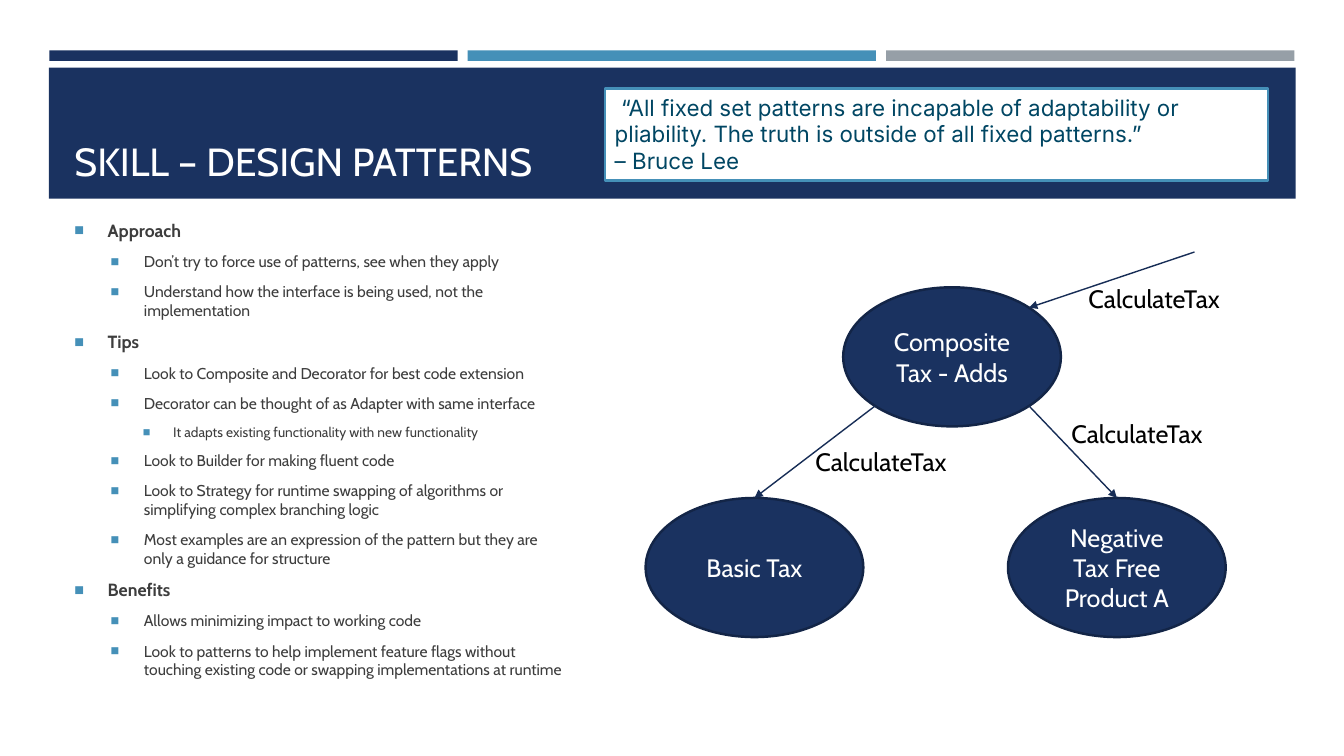
import math
from dataclasses import dataclass

import pptx
import pptx.dml.color
import pptx.enum.shapes
import pptx.enum.text
import pptx.oxml
import pptx.oxml.ns
import pptx.util

SHAPES = pptx.enum.shapes.MSO_SHAPE
ALIGN = pptx.enum.text.PP_ALIGN
ANCHOR = pptx.enum.text.MSO_ANCHOR


@dataclass(frozen=True)
class Theme:
    navy: str = "1A3260"
    navy_outline: str = "132547"
    navy_arrow: str = "172D56"
    blue: str = "4590B8"
    gray: str = "969FA7"
    white: str = "FFFFFF"
    black: str = "000000"
    body: str = "3D3D3D"
    quote: str = "004663"
    font: str = "Cabin"
    quote_font: str = "Inter"
    title_size: float = 28
    diagram_size: float = 18
    quote_size: float = 16
    bullet_sizes: tuple = (12.6, 11.2, 9.8)
    outline_width: float = 1.75
    arrow_width: float = 1


# Grid of tenth-of-an-inch cells
COLUMNS, ROWS = 133.33, 75
CELL = pptx.util.Inches(0.1)


def cells(*lengths):
    return [round(length * CELL) for length in lengths]


def color(value):
    return pptx.dml.color.RGBColor.from_string(value)


def add_text(paragraph, text, font=Theme.font, size=Theme.diagram_size,
             fill=Theme.black, bold=False, align=ALIGN.LEFT):
    paragraph.alignment = align
    run = paragraph.add_run()
    run.text = text
    run.font.name, run.font.size, run.font.bold = font, pptx.util.Pt(size), bold
    run.font.color.rgb = color(fill)


def append_xml(parent, tag, **attributes):
    element = pptx.oxml.parse_xml(f"<a:{tag} {pptx.oxml.ns.nsdecls('a')}/>")
    for name, value in attributes.items():
        element.set(name, str(value))
    parent.append(element)
    return element


class SlideBuilder:
    # Indent of the text and hanging indent of the bullet, per level
    indents = ((3.3, 3.3), (6.9, 3.3), (9.8, 3))

    def __init__(self, slide, theme):
        self.slide, self.theme = slide, theme

    def fill_frame(self, frame, lines, anchor, wrap=True, **text_format):
        frame.word_wrap, frame.vertical_anchor = wrap, anchor
        for index, line in enumerate(lines):
            paragraph = frame.add_paragraph() if index else frame.paragraphs[0]
            add_text(paragraph, line, **text_format)

    def shape(self, kind, left, top, width, height, fill, outline=None):
        shape = self.slide.shapes.add_shape(kind, *cells(left, top, width, height))
        shape.shadow.inherit = False
        shape.fill.solid()
        shape.fill.fore_color.rgb = color(fill)
        if outline:
            shape.line.color.rgb = color(outline)
            shape.line.width = pptx.util.Pt(self.theme.outline_width)
        else:
            shape.line.fill.background()
        return shape

    def text_box(self, left, top, width, height, lines=(), anchor=ANCHOR.TOP,
                 wrap=True, **text_format):
        box = self.slide.shapes.add_textbox(*cells(left, top, width, height))
        self.fill_frame(box.text_frame, lines, anchor, wrap, **text_format)
        return box.text_frame

    def bullets(self, left, top, width, height, items):
        frame = self.text_box(left, top, width, height)
        for index, (level, text) in enumerate(items):
            paragraph = frame.add_paragraph() if index else frame.paragraphs[0]
            add_text(paragraph, text, size=self.theme.bullet_sizes[level],
                     fill=self.theme.body, bold=level == 0)
            paragraph.level = level
            paragraph.space_before = pptx.util.Pt(2)
            paragraph.space_after = pptx.util.Pt(6)
            indent, hanging = cells(*self.indents[level])
            properties = paragraph._p.get_or_add_pPr()
            properties.set("marL", str(indent))
            properties.set("indent", str(-hanging))
            append_xml(append_xml(properties, "buClr"), "srgbClr", val=self.theme.blue)
            append_xml(properties, "buSzPct", val=92000)
            append_xml(properties, "buFont", typeface="Arial")
            append_xml(properties, "buChar", char="■")

    def node(self, center, text):
        column, row = center
        width, height = NODE_SIZE
        shape = self.shape(SHAPES.OVAL, column - width / 2, row - height / 2, width,
                           height, self.theme.navy, self.theme.navy_outline)
        self.fill_frame(shape.text_frame, [text], ANCHOR.MIDDLE,
                        fill=self.theme.white, align=ALIGN.CENTER)

    def arrow(self, start, end):
        connector = self.slide.shapes.add_connector(
            pptx.enum.shapes.MSO_CONNECTOR.STRAIGHT, *cells(*start, *end))
        connector.line.color.rgb = color(self.theme.navy_arrow)
        connector.line.width = pptx.util.Pt(self.theme.arrow_width)
        append_xml(connector.line._get_or_add_ln(), "tailEnd", type="triangle")
        append_xml(connector._element.spPr, "effectLst")


NODE_SIZE = (21.6, 13.8)
COMPOSITE, BASIC, NEGATIVE = (94.45, 35.4), (74.85, 56.3), (110.8, 56.3)
OUTLINE_ITEMS = [
    (0, "Approach"),
    (1, "Don’t try to force use of patterns, see when they apply"),
    (1, "Understand how the interface is being used, not the implementation"),
    (0, "Tips"),
    (1, "Look to Composite and Decorator for best code extension"),
    (1, "Decorator can be thought of as Adapter with same interface"),
    (2, "It adapts existing functionality with new functionality"),
    (1, "Look to Builder for making fluent code"),
    (1, "Look to Strategy for runtime swapping of algorithms or simplifying "
        "complex branching logic"),
    (1, "Most examples are an expression of the pattern but they are only a "
        "guidance for structure"),
    (0, "Benefits"),
    (1, "Allows minimizing impact to working code"),
    (1, "Look to patterns to help implement feature flags without touching "
        "existing code or swapping implementations at runtime"),
]


def node_point(center, degrees):
    """Point on a node's edge, measured clockwise from its right side."""
    angle = math.radians(degrees)
    return (center[0] + NODE_SIZE[0] / 2 * math.cos(angle),
            center[1] + NODE_SIZE[1] / 2 * math.sin(angle))


def main():
    presentation = pptx.Presentation()
    presentation.slide_width, presentation.slide_height = cells(COLUMNS, ROWS)
    theme = Theme()
    slide = presentation.slides.add_slide(presentation.slide_layouts[6])
    builder = SlideBuilder(slide, theme)

    # Header stripes and title band
    for index, fill in enumerate((theme.navy, theme.blue, theme.gray)):
        builder.shape(SHAPES.RECTANGLE, 4.9 + 41.5 * index, 5, 40.5, 1.05, fill)
    builder.shape(SHAPES.RECTANGLE, 4.85, 6.7, 123.7, 13, theme.navy)
    builder.text_box(6.4, 7.7, 120.6, 11.1, ["SKILL – DESIGN PATTERNS"],
                     ANCHOR.BOTTOM, size=theme.title_size, fill=theme.white)

    # Bulleted outline
    builder.bullets(6.4, 21.3, 51, 48, OUTLINE_ITEMS)

    # Composite diagram
    builder.node(COMPOSITE, "Composite Tax - Adds")
    builder.node(BASIC, "Basic Tax")
    builder.node(NEGATIVE, "Negative Tax Free Product A")
    builder.arrow(node_point(COMPOSITE, 135), node_point(BASIC, 270))
    builder.arrow(node_point(COMPOSITE, 45), node_point(NEGATIVE, 270))
    builder.arrow((118.5, 25), node_point(COMPOSITE, 315))
    for left, top in ((107, 27.6), (105.3, 41), (79.9, 43.8)):
        builder.text_box(left, top, 15, 4, ["CalculateTax"], wrap=False)

    # Quote
    quote = builder.shape(SHAPES.RECTANGLE, 60, 8.8, 65.8, 9.1, theme.white, theme.blue)
    builder.fill_frame(quote.text_frame, [
        " “All fixed set patterns are incapable of adaptability or pliability. "
        "The truth is outside of all fixed patterns.”",
        "– Bruce Lee",
    ], ANCHOR.TOP, font=theme.quote_font, size=theme.quote_size, fill=theme.quote)

    presentation.save("out.pptx")


if __name__ == "__main__":
    main()
